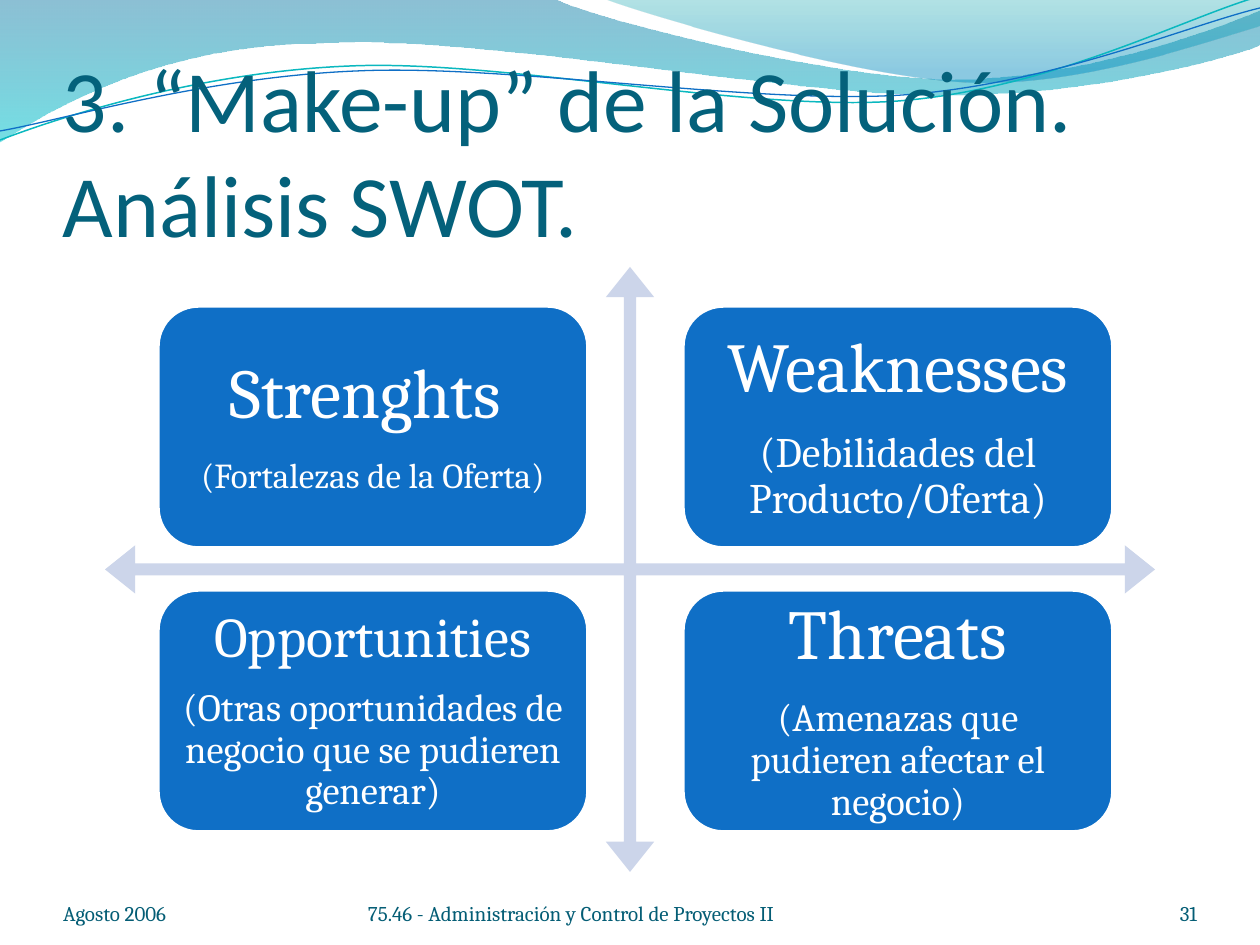
from pptx import Presentation
from pptx.dml.color import RGBColor
from pptx.enum.shapes import MSO_SHAPE
from pptx.enum.text import MSO_ANCHOR, PP_ALIGN
from pptx.oxml.ns import qn
from pptx.util import Pt
from lxml.etree import SubElement

PX = 914400 / 126
rgb = RGBColor.from_string


def px(*nums):
    """Turn pixel lengths into EMU."""
    return [round(n * PX) for n in nums]


def write(para, text, size, font="Cambria", color="FFFFFF", align=PP_ALIGN.LEFT):
    para.text = text
    para.alignment = align
    for run in para.runs:
        run.font.size = Pt(size)
        run.font.name = font
        run.font.color.rgb = rgb(color)


deck = Presentation()
deck.slide_width, deck.slide_height = px(1260, 945)
slide = deck.slides.add_slide(deck.slide_layouts[6])
shapes = slide.shapes

# Waves: a step of two numbers is a line, a step of six a Bézier curve.
# Style: gradient stops (position, colour, opacity %) or line (colour, width).
waves = [
    ([(0, -1), (554, -1), (600, 21, 837, 79, 955, 79),
      (1075, 79, 1207, 33, 1260, 11), (1261, 45),
      (1239, 55, 1096, 96, 940, 95), (784, 95, 481, 35, 324, 43),
      (163, 44, 58, 105, -1, 142), (0, -1)],
     [(0, "0074A1", 45), (1, "00C6CF", 55)], None),
    ([(604, -1), (641, 14, 859, 78, 969, 82),
      (1079, 87, 1211, 40, 1260, 26), (1260, 0), (604, -1)],
     [(0, "00A1A9", 30), (0.8, "008BBF", 45)], None),
    ([(0, 140), (60, 117, 199, 72, 349, 66),
      (498, 59, 747, 112, 898, 101), (1050, 89, 1182, 19, 1257, -3)],
     None, ("0AB8BF", 0.85)),
    ([(0, 131), (59, 121, 205, 77, 357, 71),
      (508, 64, 753, 105, 903, 95), (1053, 84, 1186, 26, 1260, 8)],
     None, ("0F6FC6", 0.75)),
]
for (start, *steps), stops, line in waves:
    pen = shapes.build_freeform(*px(*start))
    for step in steps:
        dots = zip(px(*step[::2]), px(*step[1::2]))
        pen.add_line_segments(list(dots), close=False)
    wave = pen.convert_to_shape()
    wave.shadow.inherit = False
    props = wave.element.spPr

    # Join the three points of each curve into one Bézier segment.
    parts = props.iter(qn("a:lnTo"))
    parts = iter(list(parts))
    for step in steps:
        first = next(parts)
        if len(step) == 6:
            first.tag = qn("a:cubicBezTo")
            for part in (next(parts), next(parts)):
                first.append(part[0])
                part.getparent().remove(part)

    if stops:
        SubElement(next(props.iter(qn("a:path"))), qn("a:close"))
        wave.line.fill.background()
        wave.fill.gradient()
        wave.fill.gradient_angle = 270
        for stop, (pos, color, alpha) in zip(wave.fill.gradient_stops, stops):
            stop.position = pos
            stop.color.rgb = rgb(color)
        tints = props.iter(qn("a:srgbClr"))
        for tint, (pos, color, alpha) in zip(tints, stops):
            SubElement(tint, qn("a:alpha")).set("val", str(alpha * 1000))
    else:
        color, width = line
        wave.fill.background()
        wave.line.color.rgb = rgb(color)
        wave.line.width = Pt(width)

# SWOT matrix
cross = shapes.add_shape(MSO_SHAPE.QUAD_ARROW, *px(105, 267, 1050, 605))
cross.shadow.inherit = False
cross.fill.solid()
cross.fill.fore_color.rgb = rgb("CCD5EA")
cross.line.fill.background()
for i, ratio in enumerate((0.02, 0.04, 0.05)):
    cross.adjustments[i] = ratio

cells = [
    ("Strenghts ", 40, "(Fortalezas de la Oferta)", 20, 9),
    ("Weaknesses", 40, "(Debilidades del Producto/Oferta)", 24, 9),
    ("Opportunities", 32,
     "(Otras oportunidades de negocio que se pudieren generar)", 22, 4),
    ("Threats", 40, "(Amenazas que pudieren afectar el negocio)", 22, 9),
]
for i, (head, big, note, small, pad) in enumerate(cells):
    row, col = divmod(i, 2)
    card = shapes.add_shape(MSO_SHAPE.ROUNDED_RECTANGLE,
                            *px(158 + 525 * col, 306 + 284 * row, 430, 242))
    card.shadow.inherit = False
    card.fill.solid()
    card.fill.fore_color.rgb = rgb("0F6FC6")
    card.line.color.rgb = rgb("FFFFFF")
    card.line.width = Pt(2)
    frame = card.text_frame
    frame.word_wrap = True
    frame.vertical_anchor = MSO_ANCHOR.MIDDLE
    (frame.margin_left, frame.margin_top,
     frame.margin_right, frame.margin_bottom) = px(pad, pad, pad, pad)
    paras = frame.paragraphs[0], frame.add_paragraph()
    for para, text, size in zip(paras, (head, note), (big, small)):
        write(para, text, size, align=PP_ALIGN.CENTER)
        para.line_spacing = 0.9
        para.space_after = Pt(round(0.35 * size))

# Title and footer
foot = dict(size=12, color="045D75")
labels = [
    ((63, 97, 1134, 158), 6, "3. “Make-up” de la Solución.\nAnálisis SWOT.",
     dict(size=50, font="Calibri", color="04617B")),
    ((63, 876, 294, 50), 0, "Agosto 2006", foot),
    ((368, 876, 462, 50), 0,
     "75.46 - Administración y Control de Proyectos II", foot),
    ((1092, 876, 105, 50), 0, "31", dict(foot, align=PP_ALIGN.RIGHT)),
]
for place, top, text, style in labels:
    frame = shapes.add_textbox(*px(*place)).text_frame
    frame.word_wrap = True
    frame.vertical_anchor = MSO_ANCHOR.BOTTOM
    frame.margin_left = frame.margin_right = frame.margin_bottom = 0
    frame.margin_top = px(top)[0]
    write(frame.paragraphs[0], text, **style)

deck.save("out.pptx")
